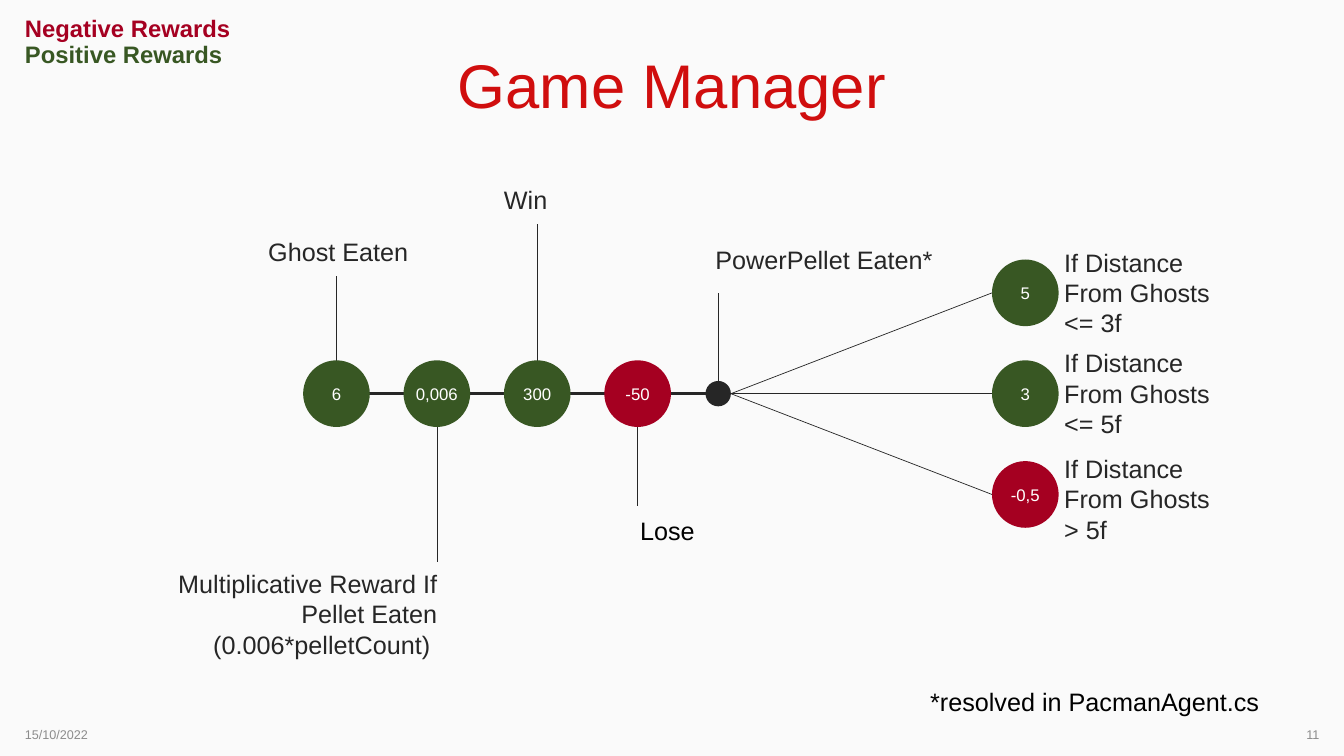
from pptx import Presentation
from pptx.dml.color import RGBColor
from pptx.enum.shapes import MSO_CONNECTOR, MSO_SHAPE
from pptx.enum.text import MSO_ANCHOR, PP_ALIGN
from pptx.oxml.ns import qn
from pptx.util import Cm, Pt
from lxml.etree import SubElement

RED, GREEN, DARK, GREY = "A50021", "385723", "262626", "8C8C8C"
LEFT, CENTER, RIGHT = PP_ALIGN.LEFT, PP_ALIGN.CENTER, PP_ALIGN.RIGHT

prs = Presentation()
prs.slide_width, prs.slide_height = Cm(33.87), Cm(19.05)
s = prs.slides.add_slide(prs.slide_layouts[6])


def rgb(color):
    return RGBColor.from_string(color)


def write(sp, text, size, color, align=LEFT, anchor=MSO_ANCHOR.TOP):
    """Fill a shape or text box with wrapped text in one style."""
    tf = sp.text_frame
    tf.word_wrap = True
    tf.vertical_anchor = anchor
    tf.text = text
    for p in tf.paragraphs:
        p.alignment = align
        for r in p.runs:
            r.font.name = "Arial"
            r.font.size = Pt(size)
            r.font.color.rgb = rgb(color)
    return tf


s.background.fill.solid()
s.background.fill.fore_color.rgb = rgb("FAFAFA")

# Title and legend
sp = s.shapes.add_textbox(Cm(2.33), Cm(0.38), Cm(29.21), Cm(3.68))
tf = write(sp, "Game Manager", 44, "D00E0E", CENTER, MSO_ANCHOR.MIDDLE)
tf.paragraphs[0].line_spacing = 0.9

sp = s.shapes.add_textbox(Cm(0.38), Cm(0.31), Cm(9.73), Cm(1.6))
tf = write(sp, "Negative Rewards\nPositive Rewards", 17, RED)
for p, color in zip(tf.paragraphs, (RED, GREEN)):
    p.line_spacing = 0.9
    p.runs[0].font.bold = True
    p.runs[0].font.color.rgb = rgb(color)

# Reward chain: value, colour, and y of the far end of its label line
chain = [("6", GREEN, 6.96), ("0,006", GREEN, 14.17),
         ("300", GREEN, 5.64), ("-50", RED, 12.75)]
first_x, axis_y, pitch, diameter = 8.48, 9.92, 2.53, 1.68
hub_x, hub_diameter = 18.1, 0.64
hub_right = hub_x + hub_diameter / 2

# Power pellet branches: value, colour, condition, top of condition
branches = [("5", GREEN, "If Distance From Ghosts <= 3f", 6.1),
            ("3", GREEN, "If Distance From Ghosts <= 5f", 8.64),
            ("-0,5", RED, "If Distance From Ghosts > 5f", 11.3)]
branch_x, branch_pitch = 25.84, 2.54

lines = [(first_x, axis_y, hub_x, axis_y, 2.25), (hub_x, axis_y, hub_x, 7.39, 0.5)]
circles = [(hub_x, axis_y, hub_diameter, DARK, "")]
labels = [("Ghost Eaten", 3.43, 5.82, 6.86, DARK, RIGHT),
          ("Multiplicative Reward If Pellet Eaten (0.006*pelletCount) ",
           2.54, 14.2, 8.48, DARK, RIGHT),
          ("Win", 12.45, 4.52, 6.86, DARK, LEFT),
          ("Lose", 15.88, 12.85, 6.86, "000000", LEFT),
          ("PowerPellet Eaten*", 17.78, 6.02, 6.86, DARK, LEFT)]
for i, (value, color, end_y) in enumerate(chain):
    x = first_x + i * pitch
    lines.append((x, axis_y, x, end_y, 0.5))
    circles.append((x, axis_y, diameter, color, value))
for i, (value, color, condition, top) in enumerate(branches):
    y = axis_y + (i - 1) * branch_pitch
    lines.append((hub_right, axis_y, branch_x - diameter / 2, y, 0.5))
    circles.append((branch_x, y, diameter, color, value))
    labels.append((condition, 26.57, top, 4.17, DARK, LEFT))

for x1, y1, x2, y2, width in lines:
    line = s.shapes.add_connector(MSO_CONNECTOR.STRAIGHT, Cm(x1), Cm(y1), Cm(x2), Cm(y2))
    line.line.color.rgb = rgb(DARK)
    line.line.width = Pt(width)
    SubElement(line._element.spPr, qn("a:effectLst"))

for x, y, d, color, value in circles:
    sp = s.shapes.add_shape(MSO_SHAPE.OVAL, Cm(x - d / 2), Cm(y - d / 2), Cm(d), Cm(d))
    sp.shadow.inherit = False
    sp.fill.solid()
    sp.fill.fore_color.rgb = rgb(color)
    sp.line.fill.background()
    if value:
        tf = write(sp, value, 12, "FFFFFF", CENTER, MSO_ANCHOR.MIDDLE)
        tf.margin_left = tf.margin_right = tf.margin_top = tf.margin_bottom = 0
        tf.word_wrap = False

for text, x, y, w, color, align in labels:
    sp = s.shapes.add_textbox(Cm(x), Cm(y), Cm(w), Cm(1.02))
    write(sp, text, 18, color, align).margin_right = 0

# Footnote, date and slide number
sp = s.shapes.add_textbox(Cm(23.19), Cm(17.17), Cm(9.63), Cm(1.02))
write(sp, "*resolved in PacmanAgent.cs", 18, "000000")
for text, x, align in (("15/10/2022", 0.38, LEFT), ("11", 25.88, RIGHT)):
    sp = s.shapes.add_textbox(Cm(x), Cm(18.01), Cm(7.62), Cm(1.02))
    write(sp, text, 9, GREY, align, MSO_ANCHOR.MIDDLE)

prs.save("out.pptx")
